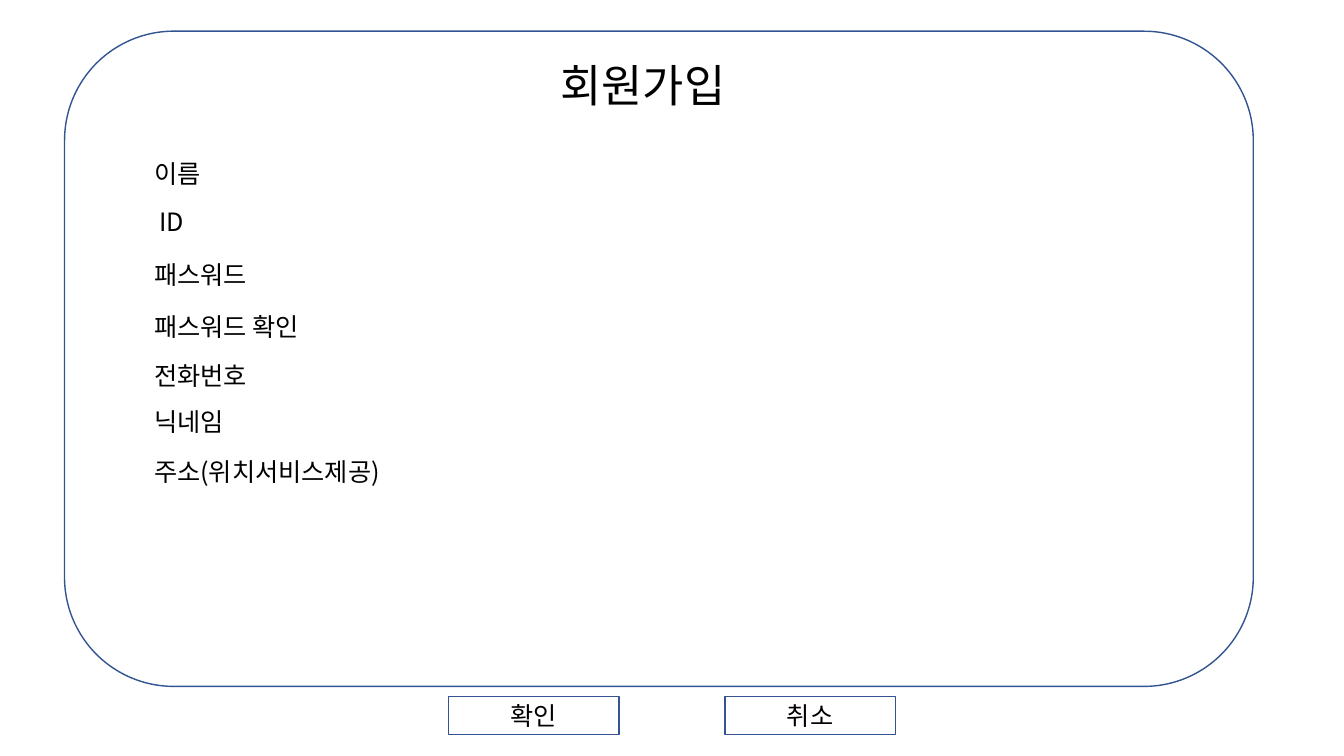
from dataclasses import dataclass

import pptx
import pptx.dml.color
import pptx.enum.shapes
import pptx.enum.text
import pptx.oxml
import pptx.oxml.ns
import pptx.util
from pptx.util import Inches

FONT = "Noto Sans CJK KR"
BLACK = "000000"
OUTLINE = "325491"


@dataclass
class Field:
    label: str
    top: float
    width: float
    left: float = 1.43


@dataclass
class Button:
    label: str
    left: float


FIELDS = [
    Field("이름", 1.52, 0.88),
    Field("ID", 2.0, 4.7, left=1.48),
    Field("패스워드", 2.52, 1.33),
    Field("패스워드 확인", 3.04, 1.84),
    Field("전화번호", 3.53, 1.84),
    Field("닉네임", 3.98, 1.84),
    Field("주소(위치서비스제공)", 4.48, 3.16),
]
BUTTONS = [Button("확인", 4.45), Button("취소", 7.19)]


def color(value: str) -> pptx.dml.color.RGBColor:
    return pptx.dml.color.RGBColor.from_string(value)


def write(shape, text: str, *, size: float = 18, fill: str = BLACK, centered: bool = False) -> None:
    para = shape.text_frame.paragraphs[0]
    if centered:
        para.alignment = pptx.enum.text.PP_ALIGN.CENTER
        shape.text_frame.vertical_anchor = pptx.enum.text.MSO_ANCHOR.MIDDLE
    span = para.add_run()
    span.text = text
    span.font.size = pptx.util.Pt(size)
    span.font.name = FONT
    span.font.color.rgb = color(fill)
    # Hangul takes its typeface from the East Asian slot.
    east_asian = pptx.oxml.parse_xml(
        f'<a:ea {pptx.oxml.ns.nsdecls("a")} typeface="{FONT}"/>'
    )
    span.font._element.append(east_asian)


def add_label(page, text: str, left: float, top: float, width: float, height: float, size: float = 18) -> None:
    box = page.shapes.add_textbox(Inches(left), Inches(top), Inches(width), Inches(height))
    box.text_frame.word_wrap = True
    box.text_frame.auto_size = pptx.enum.text.MSO_AUTO_SIZE.SHAPE_TO_FIT_TEXT
    write(box, text, size=size)


def add_outline(page, kind, left: float, top: float, width: float, height: float):
    shape = page.shapes.add_shape(kind, Inches(left), Inches(top), Inches(width), Inches(height))
    shape.shadow.inherit = False
    shape.fill.background()
    shape.line.color.rgb = color(OUTLINE)
    shape.line.width = pptx.util.Pt(1)
    return shape


def main() -> None:
    deck = pptx.Presentation()
    deck.slide_width, deck.slide_height = Inches(13.33), Inches(7.5)
    page = deck.slides.add_slide(deck.slide_layouts[6])
    kinds = pptx.enum.shapes.MSO_SHAPE

    add_outline(page, kinds.ROUNDED_RECTANGLE, 0.64, 0.31, 11.79, 6.5)
    add_label(page, "회원가입", 5.46, 0.52, 4.7, 0.64, size=32)
    for field in FIELDS:
        add_label(page, field.label, field.left, field.top, field.width, 0.4)
    for button in BUTTONS:
        shape = add_outline(page, kinds.RECTANGLE, button.left, 6.91, 1.69, 0.38)
        write(shape, button.label, centered=True)

    deck.save("out.pptx")


if __name__ == "__main__":
    main()
